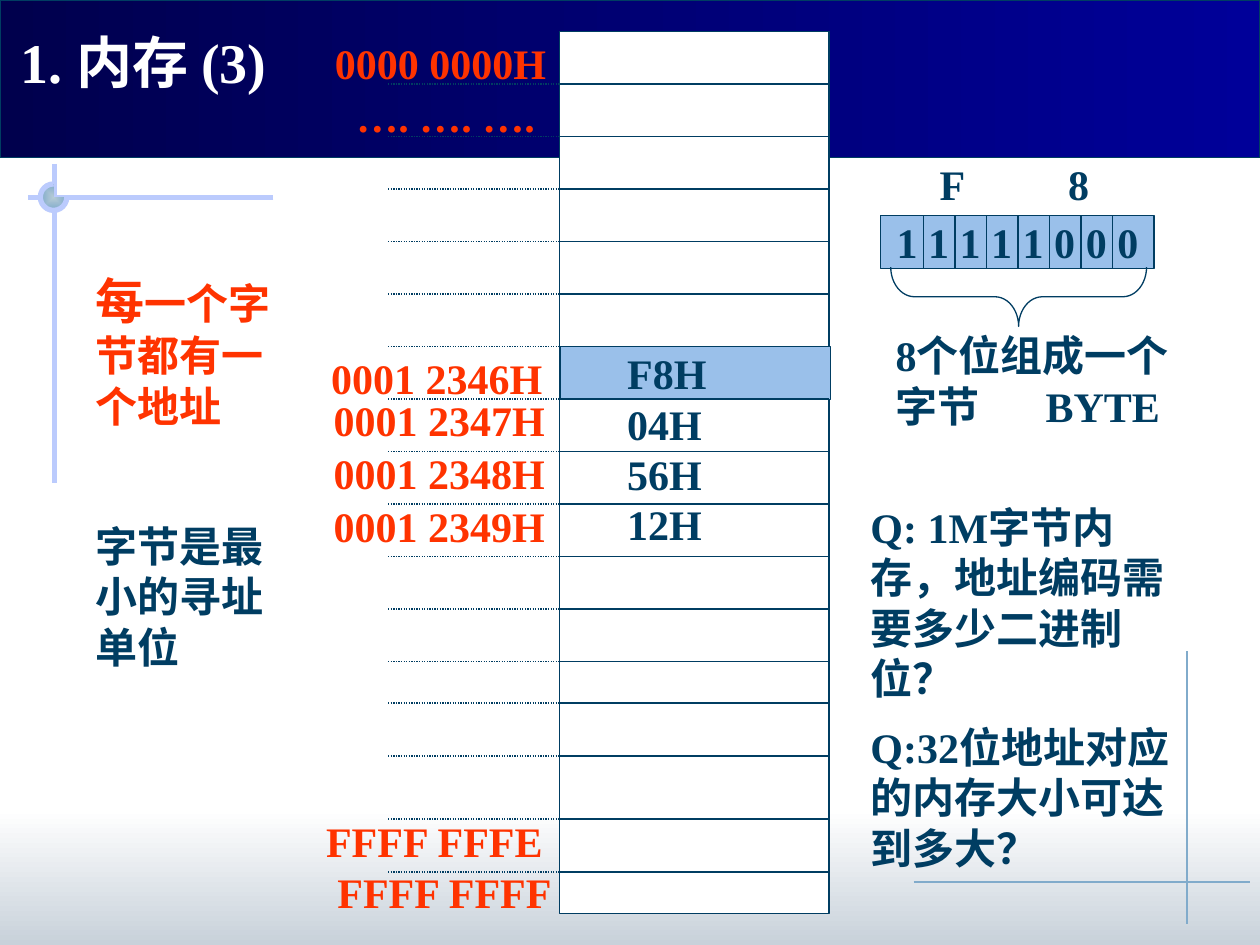
"""Build the slide on byte-addressed memory."""
from dataclasses import dataclass

import lxml.etree
import pptx
import pptx.dml.color
import pptx.enum.dml
import pptx.enum.shapes
import pptx.enum.text
import pptx.oxml.ns
import pptx.util
from pptx.util import Inches

qn = pptx.oxml.ns.qn
rgb = pptx.dml.color.RGBColor.from_string
SHAPE = pptx.enum.shapes.MSO_SHAPE
ANCHOR = pptx.enum.text.MSO_ANCHOR
ALIGN = pptx.enum.text.PP_ALIGN


@dataclass(frozen=True)
class Theme:
    font: str = "Times New Roman"
    ink: str = "003D62"
    address: str = "FF3300"
    white: str = "FFFFFF"
    cell: str = "9AC0EA"
    accent: str = "BBCBFD"
    rule: str = "81ABCB"
    pale: str = "B6CBD6"
    footer: str = "C8D1DA"
    header_dark: str = "00004D"
    header_light: str = "000099"
    body_size: int = 24
    lead_size: int = 28
    title_size: int = 32
    thin: float = 0.75
    thick: float = 3


theme = Theme()
deck = pptx.Presentation()
deck.slide_width, deck.slide_height = Inches(10), Inches(7.5)
slide = deck.slides.add_slide(deck.slide_layouts[5])
shapes = slide.shapes


def add_line(x1, y1, x2, y2, color=theme.ink, width=theme.thin, dotted=False):
    line = shapes.add_connector(
        pptx.enum.shapes.MSO_CONNECTOR.STRAIGHT,
        Inches(x1), Inches(y1), Inches(x2), Inches(y2))
    line.line.color.rgb = rgb(color)
    line.line.width = pptx.util.Pt(width)
    if dotted:
        line.line.dash_style = pptx.enum.dml.MSO_LINE.ROUND_DOT
    lxml.etree.SubElement(line._element.spPr, qn("a:effectLst"))


def add_text(x, y, w, h, lines, color=theme.ink, wrap=True):
    box = shapes.add_textbox(Inches(x), Inches(y), Inches(w), Inches(h))
    box.text_frame.word_wrap = wrap
    box.text_frame.text = "\n".join(lines)
    for paragraph in box.text_frame.paragraphs:
        paragraph._p.get_or_add_pPr().set("hangingPunct", "0")
        for run in paragraph.runs:
            run.font.name = theme.font
            run.font.size = pptx.util.Pt(theme.body_size)
            run.font.bold = True
            run.font.color.rgb = rgb(color)
    return box.text_frame


panels = {}
for part, kind, x, y, w, h, fill, outline, width in [
    ("footer", SHAPE.RECTANGLE, 0, 6.42, 10, 1.08, (theme.white, theme.footer, 270), None, 0),
    ("header", SHAPE.RECTANGLE, 0, 0, 10, 1.25,
     (theme.header_dark, theme.header_light, 0), theme.ink, theme.thin),
    ("memory", SHAPE.RECTANGLE, 4.44, 0.25, 2.14, 7, theme.white, theme.ink, theme.thin),
    ("byte", SHAPE.RECTANGLE, 4.45, 2.75, 2.14, 0.42, theme.cell, theme.ink, theme.thin),
    ("bits", SHAPE.RECTANGLE, 6.99, 1.71, 2.17, 0.42, theme.cell, theme.ink, theme.thin),
    ("brace", SHAPE.LEFT_BRACE, 7.85, 1.34, 0.47, 2.03, None, theme.ink, theme.thin),
    ("knob", SHAPE.ARC, 0.32, 1.46, 0.21, 0.21,
     (theme.pale, theme.rule, 0), theme.accent, theme.thick),
]:
    if part == "knob":
        add_line(2.17, 1.57, 0.22, 1.57, theme.accent, theme.thick)
        add_line(0.43, 1.3, 0.43, 3.83, theme.accent, theme.thick)
    panel = shapes.add_shape(kind, Inches(x), Inches(y), Inches(w), Inches(h))
    panel.shadow.inherit = False
    if fill is None:
        panel.fill.background()
    elif isinstance(fill, str):
        panel.fill.solid()
        panel.fill.fore_color.rgb = rgb(fill)
    else:
        panel.fill.gradient()
        panel.fill.gradient_angle = fill[2]
        for stop, color, position in zip(panel.fill.gradient_stops, fill, (0, 1)):
            stop.color.rgb = rgb(color)
            stop.position = position
    if outline:
        panel.line.color.rgb = rgb(outline)
        panel.line.width = pptx.util.Pt(width)
    else:
        panel.line.fill.background()
    panels[part] = panel

panels["brace"].rotation = 270
panels["brace"].adjustments[0] = 0.4
panels["knob"].adjustments[0] = 0
panels["knob"].adjustments[1] = 162
linear = panels["knob"]._element.spPr.find(".//" + qn("a:lin"))
radial = lxml.etree.Element(qn("a:path"), {"path": "rect"})
lxml.etree.SubElement(
    radial, qn("a:fillToRect"), {side: "50000" for side in "ltrb"})
linear.getparent().replace(linear, radial)

add_line(9.42, 5.17, 9.42, 7.33, theme.rule)
add_line(7.25, 7, 9.92, 7, theme.rule)

for y in [0.25 + row * 5 / 12 for row in range(1, 13)] + [5.58, 6, 6.5, 6.92]:
    add_line(4.44, y, 6.58, y)
    add_line(3.08, y, 4.44, y, dotted=True)
for bit in range(7):
    add_line(7.33 + bit * 0.25, 1.71, 7.33 + bit * 0.25, 2.13)

for address, x, y in [
    ("0000 0000H", 2.56, 0.25), ("…. …. ….", 2.73, 0.67),
    ("0001 2346H", 2.53, 2.75), ("0001 2347H", 2.55, 3.08),
    ("0001 2348H", 2.55, 3.5), ("0001 2349H", 2.55, 3.92),
    ("FFFF FFFE", 2.49, 6.42), ("FFFF FFFF", 2.58, 6.83),
]:
    add_text(x, y, 2.1, 0.5, [address], theme.address, wrap=False)

add_text(4.88, 2.71, 0.83, 1.7, ["F8H", "04H", "56H", "12H"], wrap=False)
for digit, x in [("F", 7.36), ("8", 8.38)]:
    add_text(x, 1.21, 0.4, 0.5, [digit], wrap=False)

bits = panels["bits"].text_frame
bits.text = "1 1 1 1 1 0 0 0"
bits.word_wrap = False
bits.vertical_anchor = ANCHOR.MIDDLE
bits.paragraphs[0].alignment = ALIGN.CENTER

byte_note = add_text(7.01, 2.57, 2.55, 0.9, ["8个位组成一个字节\tBYTE"])
tabs = lxml.etree.SubElement(
    byte_note.paragraphs[0]._p.get_or_add_pPr(), qn("a:tabLst"))
lxml.etree.SubElement(tabs, qn("a:tab"), {"pos": str(Inches(1.19)), "algn": "l"})

address_note = add_text(0.66, 2.1, 1.76, 1.37, ["每"], theme.address)
address_note.paragraphs[0].runs[0].font.size = pptx.util.Pt(theme.lead_size)
rest = address_note.paragraphs[0].add_run()
rest.text = "一个字节都有一个地址"
rest.font.name = theme.font
rest.font.size = pptx.util.Pt(theme.body_size)
rest.font.bold = True
rest.font.color.rgb = rgb(theme.address)

add_text(0.66, 4.08, 1.83, 1.3, ["字节是最小的寻址单位"])
questions = add_text(6.81, 3.93, 2.7, 2.65, [
    "Q: 1M字节内存，地址编码需要多少二进制位？",
    "Q:32位地址对应的内存大小可达到多大？"])
questions.paragraphs[1].space_before = pptx.util.Pt(10.5)

title = shapes.title
title.left, title.top = Inches(0.06), Inches(0.27)
title.width, title.height = Inches(2.24), Inches(0.96)
title.text_frame.text = "1. 内存 (3)"
title.text_frame.word_wrap = True
title.text_frame.auto_size = pptx.enum.text.MSO_AUTO_SIZE.NONE
title.text_frame.vertical_anchor = ANCHOR.TOP
heading = title.text_frame.paragraphs[0]
heading.alignment = ALIGN.LEFT
heading.line_spacing = 0.8
heading._p.get_or_add_pPr().set("marL", str(Inches(0.38)))
heading._p.get_or_add_pPr().set("indent", str(Inches(-0.38)))
shapes._spTree.append(title._element)

for paragraph, size, color in [
    (heading, theme.title_size, theme.white),
    (bits.paragraphs[0], theme.body_size, theme.ink),
]:
    font = paragraph.runs[0].font
    font.name = theme.font
    font.size = pptx.util.Pt(size)
    font.bold = True
    font.color.rgb = rgb(color)

deck.save("out.pptx")
